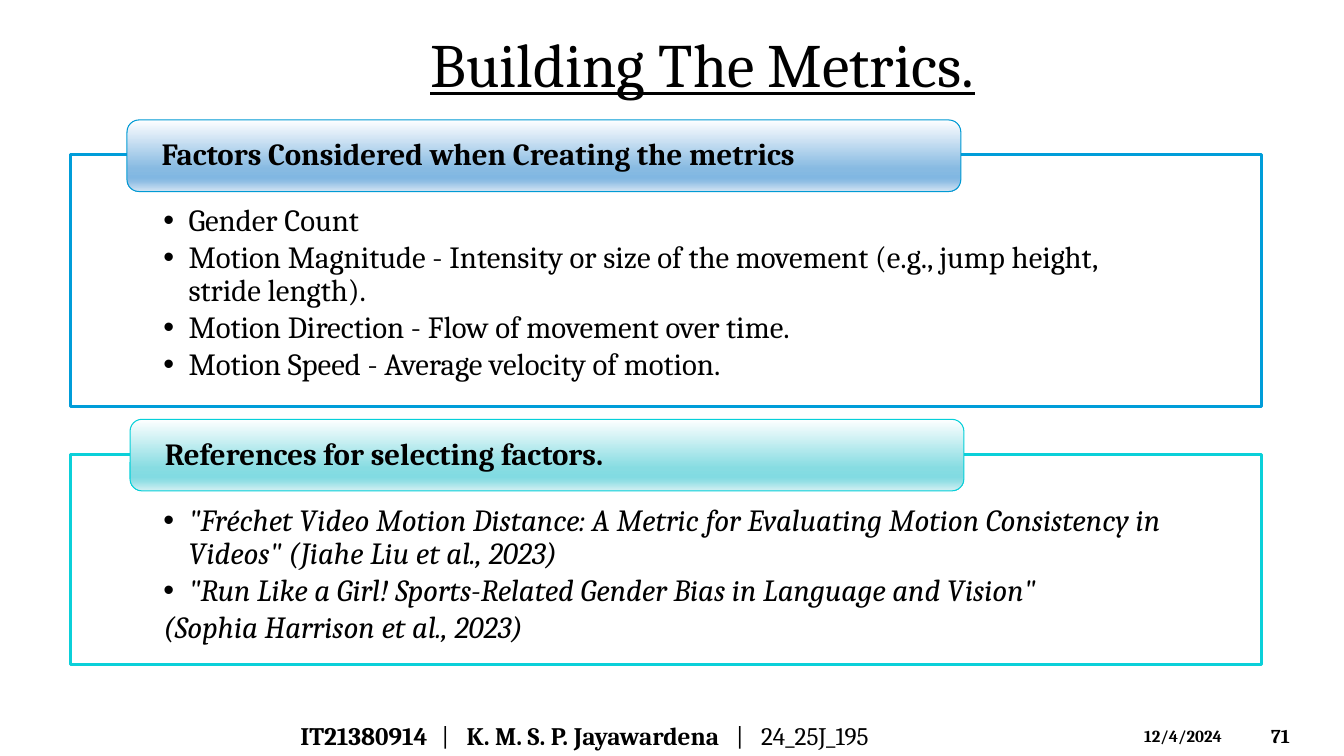
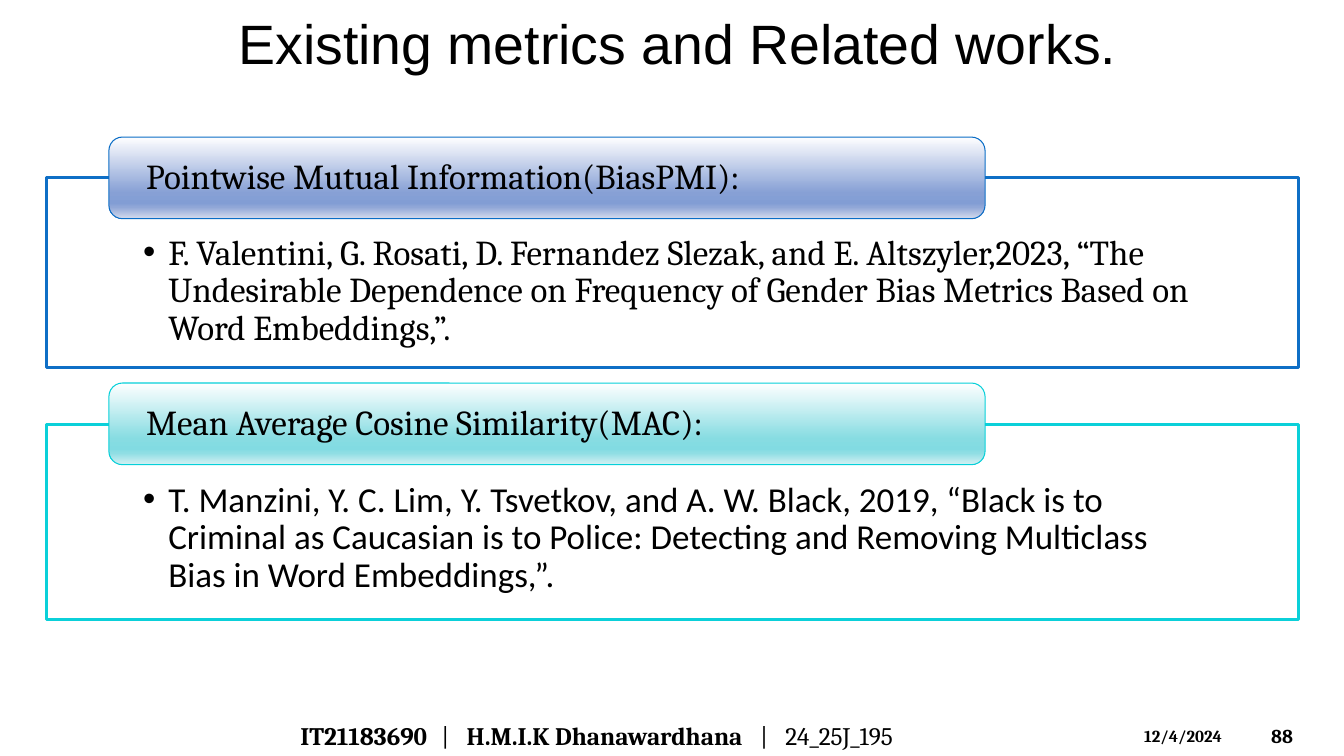
from dataclasses import dataclass
from lxml.etree import SubElement
from pptx import Presentation
from pptx.dml.color import RGBColor
from pptx.enum.shapes import MSO_SHAPE
from pptx.enum.text import MSO_ANCHOR, PP_ALIGN
from pptx.oxml.ns import qn
from pptx.util import Emu, Pt


@dataclass(frozen=True)
class Hue:
    frame: str
    edge: str
    fade: tuple


@dataclass(frozen=True)
class Theme:
    ink: str = "000000"
    paper: str = "FFFFFF"
    serif: str = "Cambria"
    sans: str = "Calibri"
    plain: str = "Arial"
    date: int = 12
    page: int = 14
    foot: int = 18
    stops: tuple = (0, 68, 81, 86, 100)
    sky: Hue = Hue("009DD9", "009AD4", ("FEFEFF", "87BAE2", "81B7E2", "90BEE4", "D3E3F3"))
    navy: Hue = Hue("0F6FC6", "0A6DC6", ("FEFEFF", "87A0D5", "829DD4", "91A7D7", "D4DBED"))
    teal: Hue = Hue("0BD0D9", "06D0D9", ("FEFFFF", "87DCE2", "82DBE2", "90DEE4", "D3F0F3"))


@dataclass(frozen=True)
class Style:
    left: int
    width: int
    pads: tuple
    label: tuple
    inset: int
    size: int
    bold: bool


THEME = Theme()
INSET = (10, 5, 10, 5)
WIDE = Style(70, 1181, (92, 50, 92, 17), (827, 71), 31, 22, True)
TALL = Style(46, 1242, (96, 57, 96, 19), (869, 81), 33, 25, False)


def px(num):
    return Emu(num * 9144)


def rgb(code):
    return RGBColor.from_string(code)


def set_frame(shape, pads=INSET, anchor=MSO_ANCHOR.TOP):
    frame = shape.text_frame
    frame.word_wrap = True
    frame.vertical_anchor = anchor
    sides = ("left", "top", "right", "bottom")
    for side, pad in zip(sides, pads):
        setattr(frame, f"margin_{side}", px(pad))
    return frame


def set_font(para, size, face=THEME.serif, **marks):
    font = para.font
    font.name, font.size = face, Pt(size)
    font.color.rgb = rgb(THEME.ink)
    for mark, value in marks.items():
        setattr(font, mark, value)


def add_text(slide, box, text, size, face=THEME.serif, anchor=MSO_ANCHOR.TOP,
             align=PP_ALIGN.LEFT, **marks):
    shape = slide.shapes.add_textbox(*map(px, box))
    para = set_frame(shape, anchor=anchor).paragraphs[0]
    para.text, para.alignment = text, align
    set_font(para, size, face, **marks)


def add_box(slide, kind, box, line, width):
    shape = slide.shapes.add_shape(kind, *map(px, box))
    shape.shadow.inherit = False
    shape.line.color.rgb = rgb(line)
    shape.line.width = Pt(width)
    return shape


def fill_fade(shape, shades):
    shape.fill.gradient()
    shape.fill.gradient_angle = 270
    stops = shape._element.spPr.find(".//" + qn("a:gsLst"))
    for stop in list(stops):
        stops.remove(stop)
    for place, shade in zip(THEME.stops, shades):
        stop = SubElement(stops, qn("a:gs"), pos=str(place * 1000))
        SubElement(stop, qn("a:srgbClr"), val=shade)


def set_hang(para, mark):
    props = para._p.get_or_add_pPr()
    props.set("marL", str(px(25)))
    props.set("indent", str(px(-25)))
    if mark:
        SubElement(props, qn("a:buFont"), typeface=THEME.plain)
        SubElement(props, qn("a:buChar"), char="•")
    else:
        SubElement(props, qn("a:buNone"))


def add_panel(slide, style, hue, top, height, label, spot, items,
              face=THEME.serif, italic=False, last=True):
    body = add_box(slide, MSO_SHAPE.RECTANGLE,
                   (style.left, top, style.width, height), hue.frame, 2)
    body.fill.solid()
    body.fill.fore_color.rgb = rgb(THEME.paper)
    frame = set_frame(body, style.pads)
    for num, item in enumerate(items, 1):
        para = frame.paragraphs[0] if num == 1 else frame.add_paragraph()
        para.text, para.alignment = item, PP_ALIGN.LEFT
        para.line_spacing, para.space_after = 0.9, Pt(2.7)
        set_hang(para, last or num < len(items))
        set_font(para, style.size, face, italic=italic)

    head = add_box(slide, MSO_SHAPE.ROUNDED_RECTANGLE,
                   (*spot, *style.label), hue.edge, 0.75)
    fill_fade(head, hue.fade)
    pads = (style.inset, 0, style.inset, 0)
    para = set_frame(head, pads, MSO_ANCHOR.MIDDLE).paragraphs[0]
    para.text, para.alignment, para.line_spacing = label, PP_ALIGN.LEFT, 0.9
    set_font(para, style.size, bold=style.bold)


def add_foot(slide, code, name, bar, page):
    add_text(slide, (1251, 710, 74, 40), page, THEME.page,
             anchor=MSO_ANCHOR.MIDDLE, bold=True)
    add_text(slide, (1125, 715, 117, 30), "12/4/2024", THEME.date, bold=True)
    shape = slide.shapes.add_textbox(*map(px, (288, 710, 745, 40)))
    para = set_frame(shape, anchor=MSO_ANCHOR.MIDDLE).paragraphs[0]
    tabs = SubElement(para._p.get_or_add_pPr(), qn("a:tabLst"))
    for start in (140, bar):
        for place in (start, start + 25):
            SubElement(tabs, qn("a:tab"), pos=str(px(place)), algn="l")
    set_font(para, THEME.foot)
    parts = ((code, True), ("\t|\t", False), (name, True), ("\t|\t24_25J_195", False))
    for text, bold in parts:
        run = para.add_run()
        run.text, run.font.bold = text, bold


def add_build(slide):
    add_foot(slide, "IT21380914", "K. M. S. P. Jayawardena", 432, "71")
    add_panel(slide, WIDE, THEME.sky, 153, 250,
              "Factors Considered when Creating the metrics", (126, 119), (
                  "Gender Count",
                  "Motion Magnitude - Intensity or size of the movement "
                  "(e.g., jump height, stride length).",
                  "Motion Direction - Flow of movement over time.",
                  "Motion Speed - Average velocity of motion."))
    add_panel(slide, WIDE, THEME.teal, 451, 208,
              "References for selecting factors.", (129, 416), (
                  '"Fréchet Video Motion Distance: A Metric for Evaluating '
                  'Motion Consistency in Videos" (Jiahe Liu et al., 2023)',
                  '"Run Like a Girl! Sports-Related Gender Bias in Language and Vision"',
                  "(Sophia Harrison et al., 2023)"), italic=True, last=False)
    add_text(slide, (417, 21, 667, 84), "Building The Metrics.", 44, underline=True)


def add_works(slide):
    add_foot(slide, "IT21183690", "H.M.I.K Dhanawardhana", 456, "88")
    add_text(slide, (33, 6, 1278, 72), "Existing metrics and Related works.", 39.6,
             THEME.plain, MSO_ANCHOR.MIDDLE, PP_ALIGN.CENTER)
    add_panel(slide, TALL, THEME.navy, 176, 189,
              "Pointwise Mutual Information(BiasPMI):", (108, 136), (
                  "F. Valentini, G. Rosati, D. Fernandez Slezak, and E. Altszyler,2023, "
                  "“The Undesirable Dependence on Frequency of Gender Bias Metrics "
                  "Based on Word Embeddings,”.",))
    add_panel(slide, TALL, THEME.teal, 421, 194,
              "Mean Average Cosine Similarity(MAC):", (108, 380), (
                  "T. Manzini, Y. C. Lim, Y. Tsvetkov, and A. W. Black, 2019, "
                  "“Black is to Criminal as Caucasian is to Police: Detecting and "
                  "Removing Multiclass Bias in Word Embeddings,”.",), THEME.sans)


def main():
    deck = Presentation()
    deck.slide_width, deck.slide_height = px(1333), px(750)
    for build in (add_build, add_works):
        build(deck.slides.add_slide(deck.slide_layouts[6]))
    deck.save("out.pptx")


if __name__ == "__main__":
    main()
